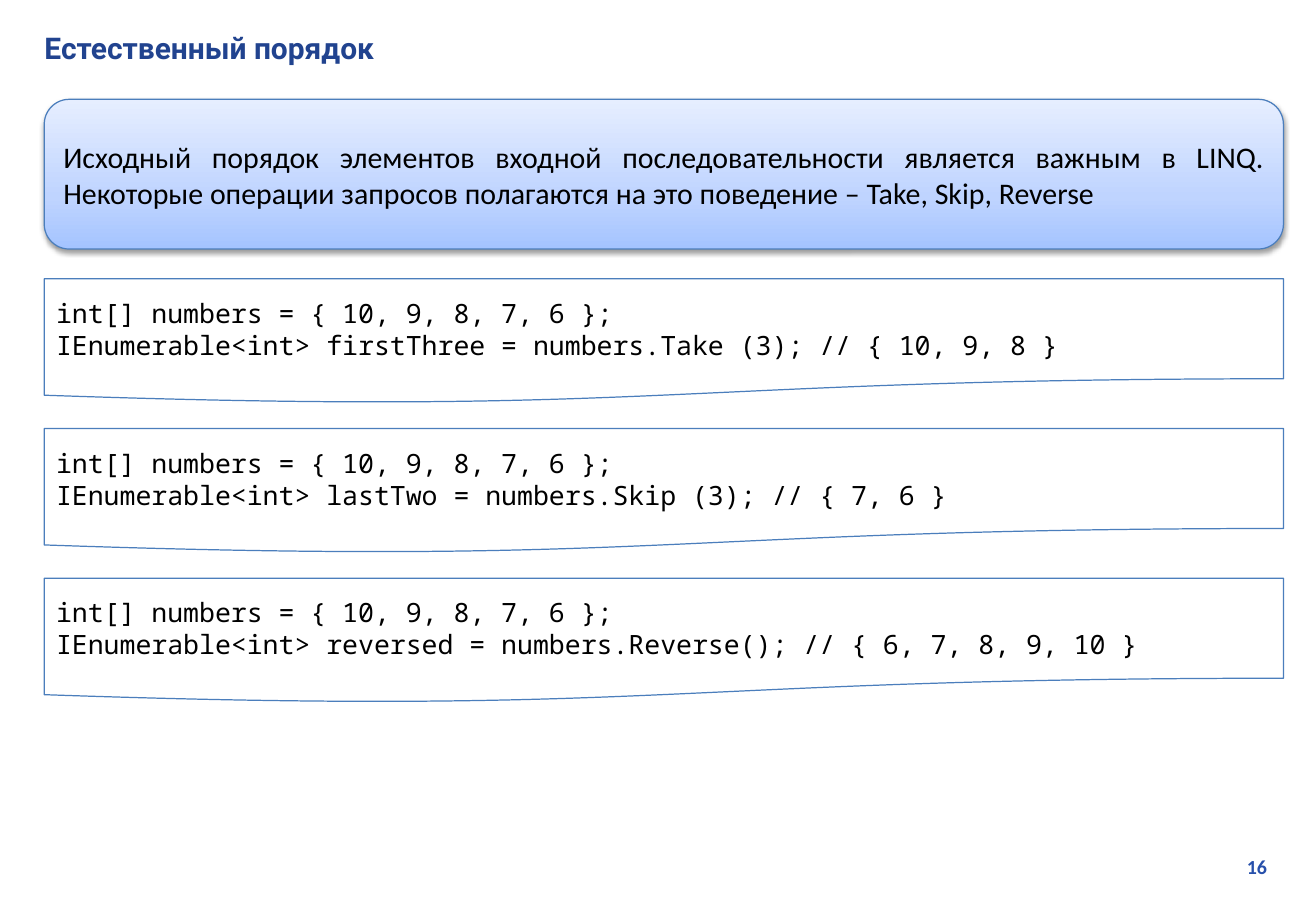
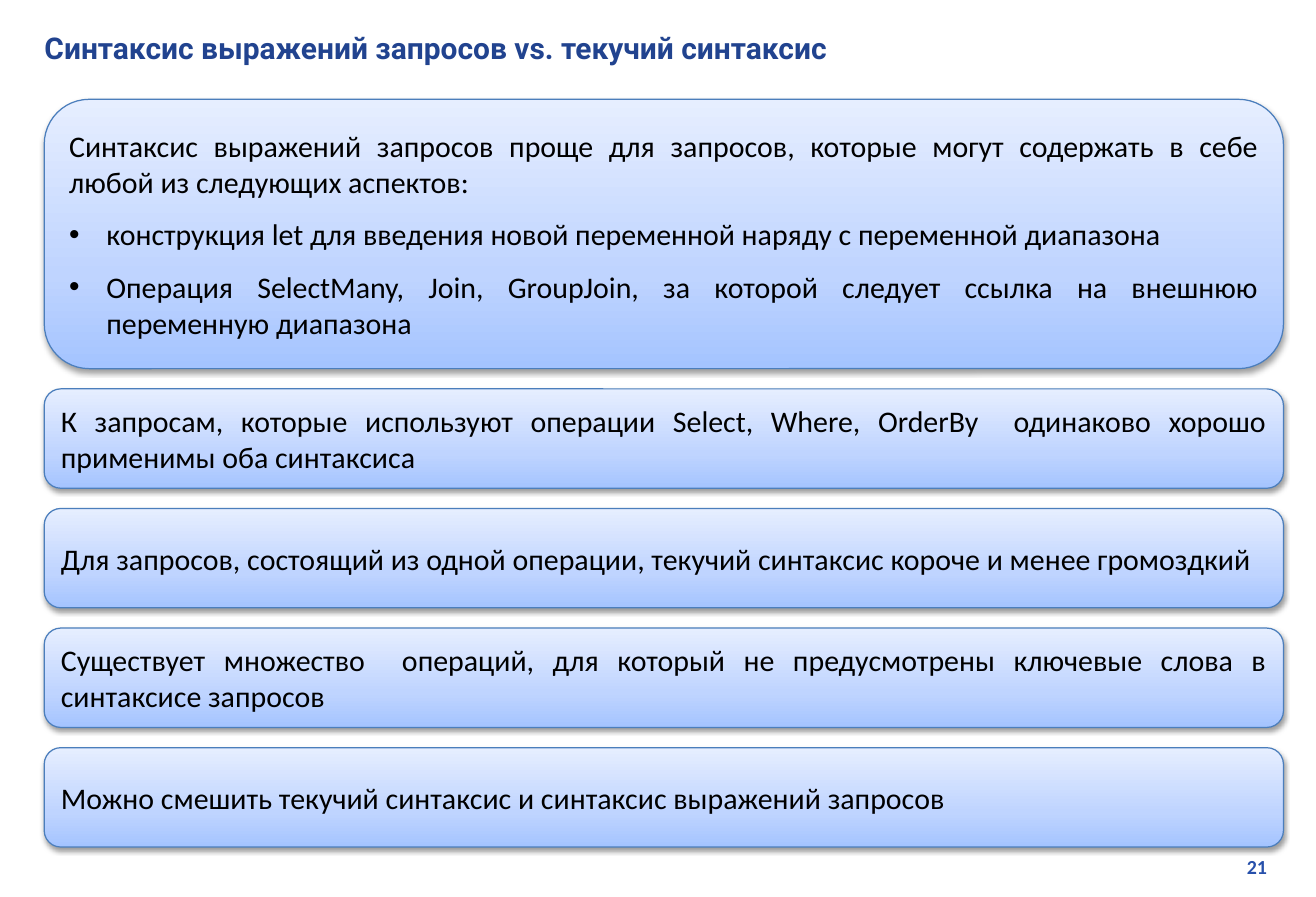
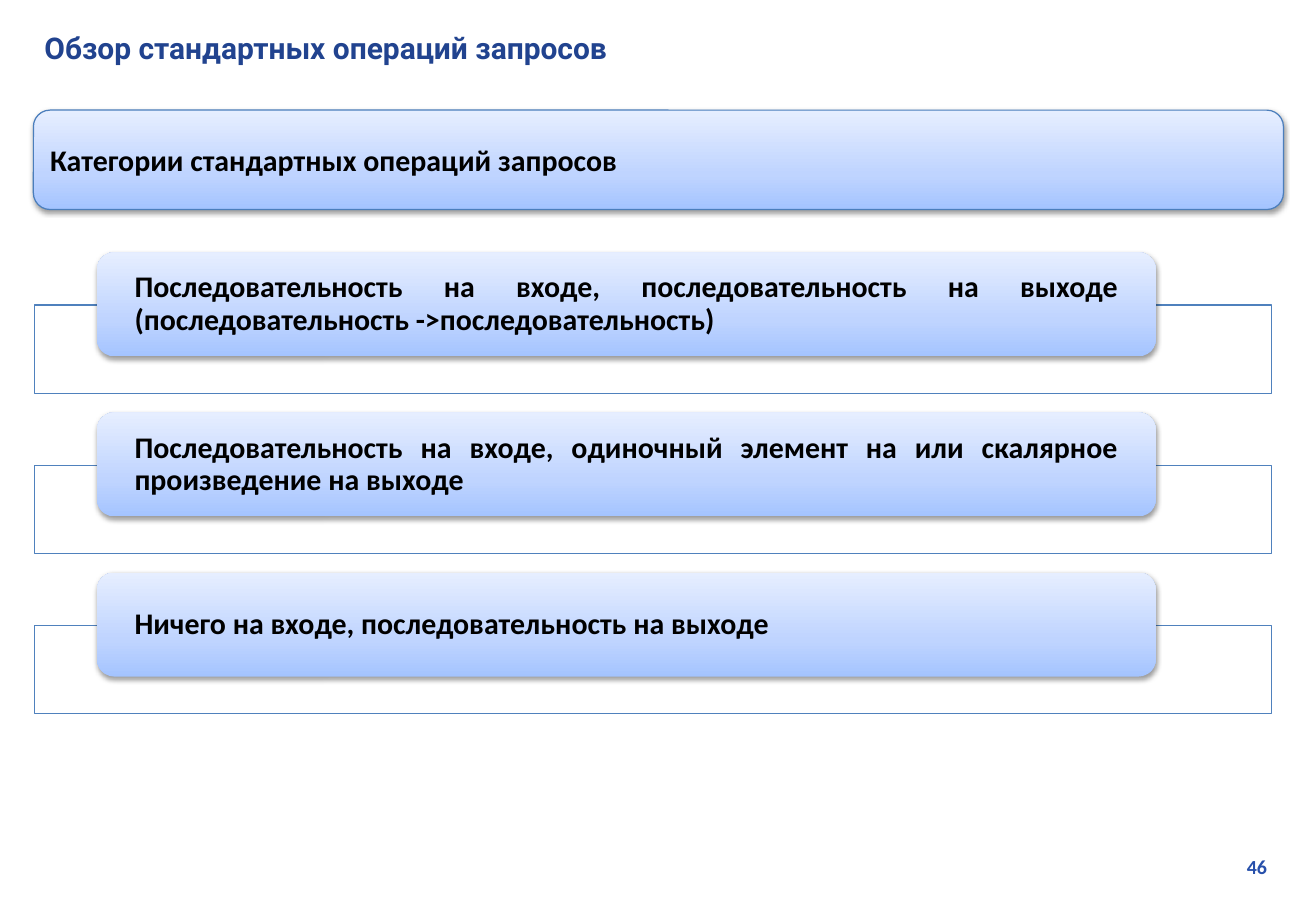
"""Build three slides about LINQ: natural order, query syntax and standard operators."""
from copy import deepcopy

from lxml import etree
from pptx import Presentation
from pptx import util as u
from pptx.dml.color import RGBColor
from pptx.enum import shapes, text
from pptx.oxml import ns

TITLE_BLUE = RGBColor(0x21, 0x43, 0x8F)
NUMBER_BLUE = RGBColor(0x27, 0x50, 0xAB)
OUTLINE_BLUE = RGBColor(0x4B, 0x7E, 0xBC)
FRAME_BLUE = RGBColor(0x4F, 0x81, 0xBD)
BLACK = RGBColor(0, 0, 0)
WHITE = RGBColor(0xFF, 0xFF, 0xFF)
GRADIENT = [
    (0, RGBColor(0xA4, 0xC4, 0xFF)),
    (0.35, RGBColor(0xBF, 0xD4, 0xFF)),
    (1, RGBColor(0xE6, 0xEE, 0xFF)),
]
LEFT, WIDTH = 0.94, 26.31
ROUNDED = shapes.MSO_SHAPE.ROUNDED_RECTANGLE
JUSTIFY = text.PP_ALIGN.JUSTIFY
ALIGN_LEFT = text.PP_ALIGN.LEFT


def write(shape, lines, size=18, font="Calibri", color=BLACK, bold=False,
          align=JUSTIFY, after=0, bullets_from=None):
    """Fill a shape with one paragraph per line."""
    frame = shape.text_frame
    frame.word_wrap = True
    frame.vertical_anchor = text.MSO_ANCHOR.MIDDLE
    for index, line in enumerate(lines):
        para = frame.add_paragraph() if index else frame.paragraphs[0]
        if bullets_from is not None and index >= bullets_from:
            properties = para._p.get_or_add_pPr()
            properties.set("marL", str(u.Cm(0.79)))
            properties.set("indent", str(-u.Cm(0.79)))
            etree.SubElement(properties, ns.qn("a:buFont"), typeface="Arial")
            etree.SubElement(properties, ns.qn("a:buChar"), char="•")
        para.alignment = align
        para.space_after = u.Pt(after)
        span = para.add_run()
        span.text = line
        span.font.size = u.Pt(size)
        span.font.name = font
        span.font.bold = bold
        span.font.color.rgb = color
    return frame


def add_box(page, kind, left, top, width, height, line=OUTLINE_BLUE):
    """Add an outlined shape: rounded ones get the gradient and shadow, others are white."""
    box = page.shapes.add_shape(kind, u.Cm(left), u.Cm(top), u.Cm(width), u.Cm(height))
    box.shadow.inherit = False
    if line is None:
        box.line.fill.background()
    else:
        box.line.color.rgb = line
        box.line.width = u.Pt(0.75)
    if kind != ROUNDED:
        box.fill.solid()
        box.fill.fore_color.rgb = WHITE
        return box
    box.fill.gradient()
    box.fill.gradient_angle = 90
    stop_list = box._element.spPr.find(".//" + ns.qn("a:gsLst"))
    stop_list.insert(1, deepcopy(stop_list[0]))
    for stop, (position, color) in zip(box.fill.gradient_stops, GRADIENT):
        stop.position = position
        stop.color.rgb = color
    effects = box._element.spPr.find(ns.qn("a:effectLst"))
    shadow = etree.SubElement(effects, ns.qn("a:outerShdw"), blurRad="40000",
                              dist="20000", dir="5400000", rotWithShape="0")
    shade = etree.SubElement(shadow, ns.qn("a:srgbClr"), val="000000")
    etree.SubElement(shade, ns.qn("a:alpha"), val="38000")
    return box


deck = Presentation()
deck.slide_width, deck.slide_height = u.Cm(27.94), u.Cm(19.05)

pages = []
for heading, number in [
    ("Естественный порядок", "16"),
    ("Синтаксис выражений запросов vs. текучий синтаксис", "21"),
    ("Обзор стандартных операций запросов", "46"),
]:
    page = deck.slides.add_slide(deck.slide_layouts[5])
    title = page.shapes.title
    title.left, title.top, title.width, title.height = u.Cm(0.69), u.Cm(0.51), u.Cm(26.67), u.Cm(1.02)
    title.text_frame.auto_size = text.MSO_AUTO_SIZE.NONE
    write(title, [heading], font="Roboto", color=TITLE_BLUE, bold=True, align=ALIGN_LEFT)
    footer = page.shapes.add_textbox(u.Cm(21.23), u.Cm(18.03), u.Cm(5.92), u.Cm(0.76))
    write(footer, [number], size=12, color=NUMBER_BLUE, bold=True, align=text.PP_ALIGN.RIGHT)
    pages.append(page)
order_page, syntax_page, overview_page = pages

intro = add_box(order_page, ROUNDED, LEFT, 2.11, WIDTH, 3.18)
write(intro, [
    "Исходный порядок элементов входной последовательности является важным в LINQ. "
    "Некоторые операции запросов полагаются на это поведение – Take, Skip, Reverse"
], after=10)
for row, query in enumerate([
    "IEnumerable<int> firstThree = numbers.Take (3); // { 10, 9, 8 }",
    "IEnumerable<int> lastTwo = numbers.Skip (3); // { 7, 6 }",
    "IEnumerable<int> reversed = numbers.Reverse(); // { 6, 7, 8, 9, 10 }",
]):
    code = add_box(order_page, shapes.MSO_SHAPE.FLOWCHART_DOCUMENT,
                   LEFT, 5.92 + 3.18 * row, WIDTH, 2.65)
    write(code, ["int[] numbers = { 10, 9, 8, 7, 6 };", query],
          size=16, font="Noto Sans Mono", align=ALIGN_LEFT)

aspects = add_box(syntax_page, ROUNDED, LEFT, 2.11, WIDTH, 5.72)
write(aspects, [
    "Синтаксис выражений запросов проще для запросов, которые могут содержать в себе "
    "любой из следующих аспектов:",
    "конструкция let для введения новой переменной наряду с переменной диапазона",
    "Операция SelectMany, Join, GroupJoin, за которой следует ссылка на внешнюю "
    "переменную диапазона",
], after=10, bullets_from=1)
for row, remark in enumerate([
    "К запросам, которые используют операции Select, Where, OrderBy  одинаково хорошо "
    "применимы оба синтаксиса",
    "Для запросов, состоящий из одной операции, текучий синтаксис короче и менее громоздкий",
    "Существует множество  операций, для который не предусмотрены ключевые слова в "
    "синтаксисе запросов",
    "Можно смешить текучий синтаксис и синтаксис выражений запросов",
]):
    note = add_box(syntax_page, ROUNDED, LEFT, 8.26 + 2.54 * row, WIDTH, 2.11)
    write(note, [remark], after=10)

for row, category in enumerate([
    "Последовательность на входе, последовательность на выходе "
    "(последовательность ->последовательность)",
    "Последовательность на входе, одиночный элемент на или скалярное произведение на выходе",
    "Ничего на входе, последовательность на выходе",
]):
    frame_box = add_box(overview_page, shapes.MSO_SHAPE.RECTANGLE,
                        0.74, 6.48 + 3.4 * row, 26.26, 1.88, FRAME_BLUE)
    tint = frame_box._element.spPr.find(ns.qn("a:solidFill"))[0]
    etree.SubElement(tint, ns.qn("a:alpha"), val="90000")
    card = add_box(overview_page, ROUNDED, 2.06, 5.36 + 3.4 * row, 22.48, 2.21, None)
    card_text = write(card, [category], bold=True, after=6)
    card_text.margin_left = card_text.margin_right = u.Cm(0.69)
    card_text.margin_top = card_text.margin_bottom = 0
    card_text.paragraphs[0].line_spacing = 0.9
banner = add_box(overview_page, ROUNDED, 0.71, 2.34, 26.54, 2.11)
write(banner, ["Категории стандартных операций запросов"], bold=True, align=ALIGN_LEFT, after=10)

deck.save("out.pptx")
